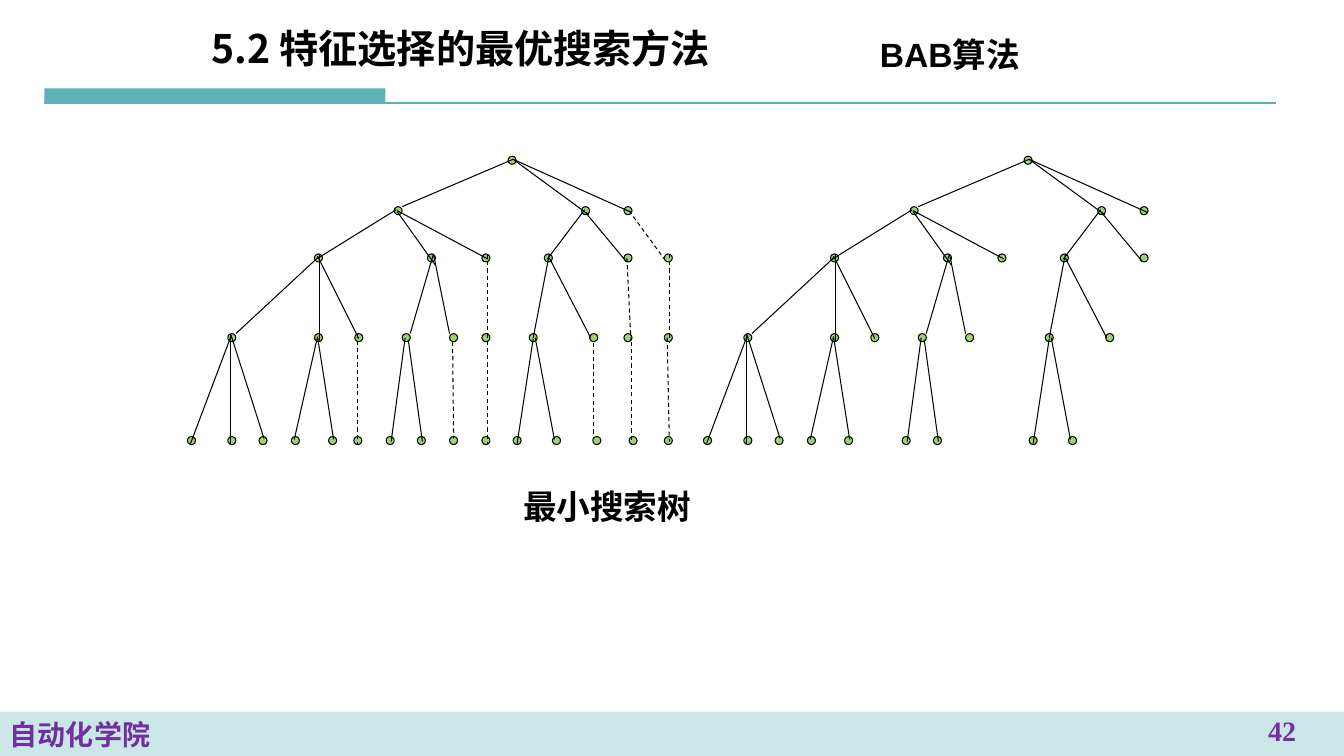
"""Build the slide comparing a full search tree with its minimal search tree."""
from dataclasses import dataclass

import lxml.etree
import pptx
import pptx.dml.color
import pptx.enum.dml
import pptx.enum.shapes
import pptx.enum.text
import pptx.oxml.ns
import pptx.util

Pt = pptx.util.Pt
Align = pptx.enum.text.PP_ALIGN
Preset = pptx.enum.shapes.MSO_SHAPE

TEAL, GREEN, PURPLE, BLACK = "5EB2B6", "9FD56D", "7030A0", "000000"
CJK_FONT = "Noto Sans CJK SC"
DOT_SIZE = 5.76
TREE_SHIFT = 368.6


@dataclass(frozen=True)
class Level:
    top: float
    kept: tuple[float, ...]
    pruned: tuple[float, ...] = ()


@dataclass(frozen=True)
class Branch:
    x1: float
    y1: float
    x2: float
    y2: float
    color: str = BLACK
    width: float = 0.75


@dataclass(frozen=True)
class Label:
    text: str
    left: float
    top: float
    width: float
    height: float
    size: float
    font: str = "Arial"
    color: str = BLACK
    align: Align = Align.LEFT
    anchor: pptx.enum.text.MSO_ANCHOR = pptx.enum.text.MSO_ANCHOR.TOP


MIDDLE = pptx.enum.text.MSO_ANCHOR.MIDDLE
TITLE = Label("5.2 特征选择的最优搜索方法", 144, 12.2, 486, 44.6, 28, CJK_FONT, anchor=MIDDLE)
FOOTER = Label("自动化学院", 0, 508.3, 960, 31.7, 20, color=PURPLE, anchor=MIDDLE)
LABELS = [
    Label("最小搜索树", 366.5, 343.4, 170, 36, 24),
    Label("42", 871.9, 506.2, 87.8, 28.1, 20, "Times New Roman", PURPLE, Align.CENTER),
    Label("BAB算法", 621.4, 20.9, 136, 36, 24),
]
LEVELS = [
    Level(111.6, (362.9,)),
    Level(147.6, (281.5, 415.4, 445.7)),
    Level(181.4, (224.6, 305.3, 344.2, 388.8, 445.7), (474.5,)),
    Level(238.3, (162.7, 224.6, 253.4, 287.3, 321.1, 378, 421.2), (344.2, 445.7, 474.5)),
    Level(311.8, (133.9, 162.7, 185, 208.1, 234.7, 275.8, 298.1, 366.5, 394.6),
          (252.7, 321.1, 344.2, 423.4, 449.3, 474.5)),
]
KEPT_BRANCHES = [
    Branch(366.5, 113.8, 287.3, 147.6), Branch(366.5, 113.8, 420.5, 153.4),
    Branch(366.5, 113.8, 451.4, 151.9), Branch(418.3, 151.9, 447.1, 186.5),
    Branch(417.6, 149.8, 391, 185), Branch(283.7, 150.5, 348.5, 185),
    Branch(283.7, 151.2, 311, 189.4), Branch(283, 149.8, 226.1, 185),
    Branch(392.4, 184.3, 421.9, 241.2), Branch(392.4, 181.4, 380.9, 241.2),
    Branch(382.3, 241.2, 396, 313.9), Branch(380.9, 241.9, 369.4, 316.8),
    Branch(291.6, 242.6, 301.7, 315.4), Branch(289.4, 241.2, 279.4, 315.4),
    Branch(309.6, 181.4, 321.1, 238.3), Branch(309.6, 181.4, 293, 238.3),
    Branch(228.2, 181.4, 228.2, 244.1), Branch(226.8, 182.9, 256.3, 241.9),
    Branch(226.8, 240.5, 238.3, 313.9), Branch(226.8, 240.5, 210.2, 313.9),
    Branch(164.9, 238.3, 164.9, 317.5), Branch(164.9, 240.5, 136.1, 316.8),
    Branch(164.9, 239, 188.6, 313.2), Branch(168.5, 238.3, 227.5, 183.6),
]
PRUNED_BRANCHES = [
    Branch(449.3, 150.5, 474.5, 185), Branch(478.1, 181.4, 478.1, 244.8),
    Branch(476.6, 241.2, 478.1, 315.4), Branch(447.8, 184.3, 450.7, 243.4),
    Branch(451.4, 244.1, 451.4, 317.5), Branch(424.1, 244.8, 424.1, 313.9),
    Branch(348.5, 181.4, 348.5, 244.1), Branch(348.5, 238.3, 348.5, 317.5),
    Branch(323.3, 244.1, 324, 313.2), Branch(255.6, 238.3, 255.6, 317.5),
]


def rgb(color: str) -> pptx.dml.color.RGBColor:
    return pptx.dml.color.RGBColor.from_string(color)


def add_xml(parent, tag: str, **attributes: str) -> None:
    lxml.etree.SubElement(parent, pptx.oxml.ns.qn(tag), attributes)


def write_label(shape, label: Label) -> None:
    frame = shape.text_frame
    frame_format = {
        "word_wrap": True,
        "auto_size": pptx.enum.text.MSO_AUTO_SIZE.NONE,
        "vertical_anchor": label.anchor,
    }
    for name, value in frame_format.items():
        setattr(frame, name, value)
    paragraph = frame.paragraphs[0]
    paragraph.alignment = label.align
    run = paragraph.add_run()
    run.text = label.text
    font_format = {"name": label.font, "size": Pt(label.size), "bold": True}
    for name, value in font_format.items():
        setattr(run.font, name, value)
    run.font.color.rgb = rgb(label.color)
    add_xml(run.font._element, "a:ea", typeface=CJK_FONT)


def add_title(slide, label: Label) -> None:
    title = slide.shapes.title
    for name in ("left", "top", "width", "height"):
        setattr(title, name, Pt(getattr(label, name)))
    write_label(title, label)


def add_label(slide, label: Label) -> None:
    box = slide.shapes.add_textbox(
        Pt(label.left), Pt(label.top), Pt(label.width), Pt(label.height))
    write_label(box, label)


def add_filled_shape(slide, preset: Preset, left: float, top: float,
                     width: float, height: float, color: str):
    shape = slide.shapes.add_shape(preset, Pt(left), Pt(top), Pt(width), Pt(height))
    shape.shadow.inherit = False
    shape.fill.solid()
    shape.fill.fore_color.rgb = rgb(color)
    shape.line.fill.background()
    return shape


def add_footer(slide, label: Label) -> None:
    band = add_filled_shape(slide, Preset.RECTANGLE, label.left, label.top,
                            label.width, label.height, TEAL)
    fill_color = band._element.spPr.find(".//" + pptx.oxml.ns.qn("a:srgbClr"))
    add_xml(fill_color, "a:alpha", val="32000")
    write_label(band, label)


def add_branch(slide, branch: Branch, shift: float = 0, dashed: bool = False) -> None:
    connector = slide.shapes.add_connector(
        pptx.enum.shapes.MSO_CONNECTOR.STRAIGHT,
        Pt(branch.x1 + shift), Pt(branch.y1), Pt(branch.x2 + shift), Pt(branch.y2))
    connector.line.color.rgb = rgb(branch.color)
    connector.line.width = Pt(branch.width)
    if dashed:
        connector.line.dash_style = pptx.enum.dml.MSO_LINE.DASH
    add_xml(connector._element.spPr, "a:effectLst")


def add_tree(slide, shift: float, with_pruned: bool) -> None:
    for level in LEVELS:
        for left in level.kept + (level.pruned if with_pruned else ()):
            dot = add_filled_shape(slide, Preset.OVAL, left + shift, level.top,
                                   DOT_SIZE, DOT_SIZE, GREEN)
            dot.line.color.rgb = rgb(BLACK)
            dot.line.width = Pt(0.75)
    for branch in KEPT_BRANCHES:
        add_branch(slide, branch, shift)
    if with_pruned:
        for branch in PRUNED_BRANCHES:
            add_branch(slide, branch, shift, dashed=True)


def main() -> None:
    presentation = pptx.Presentation()
    presentation.slide_width, presentation.slide_height = Pt(960), Pt(540)
    slide = presentation.slides.add_slide(presentation.slide_layouts[5])
    add_title(slide, TITLE)
    add_filled_shape(slide, Preset.RECTANGLE, 31.7, 63.2, 243.6, 10.3, TEAL)
    add_branch(slide, Branch(31.7, 73.3, 911.5, 73.3, TEAL, 1.5))
    add_footer(slide, FOOTER)
    add_tree(slide, 0, with_pruned=True)
    add_tree(slide, TREE_SHIFT, with_pruned=False)
    for label in LABELS:
        add_label(slide, label)
    presentation.save("out.pptx")


if __name__ == "__main__":
    main()
